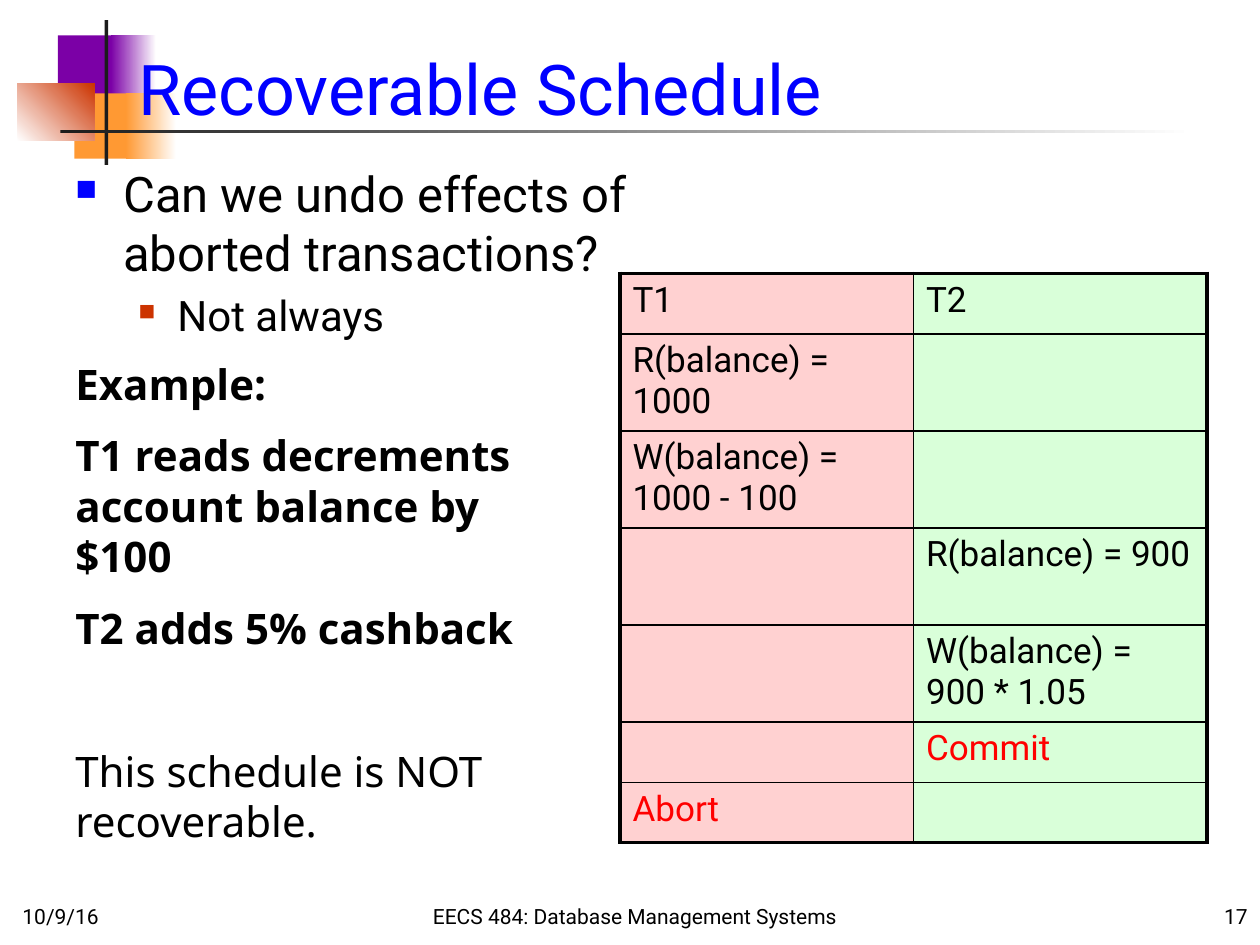
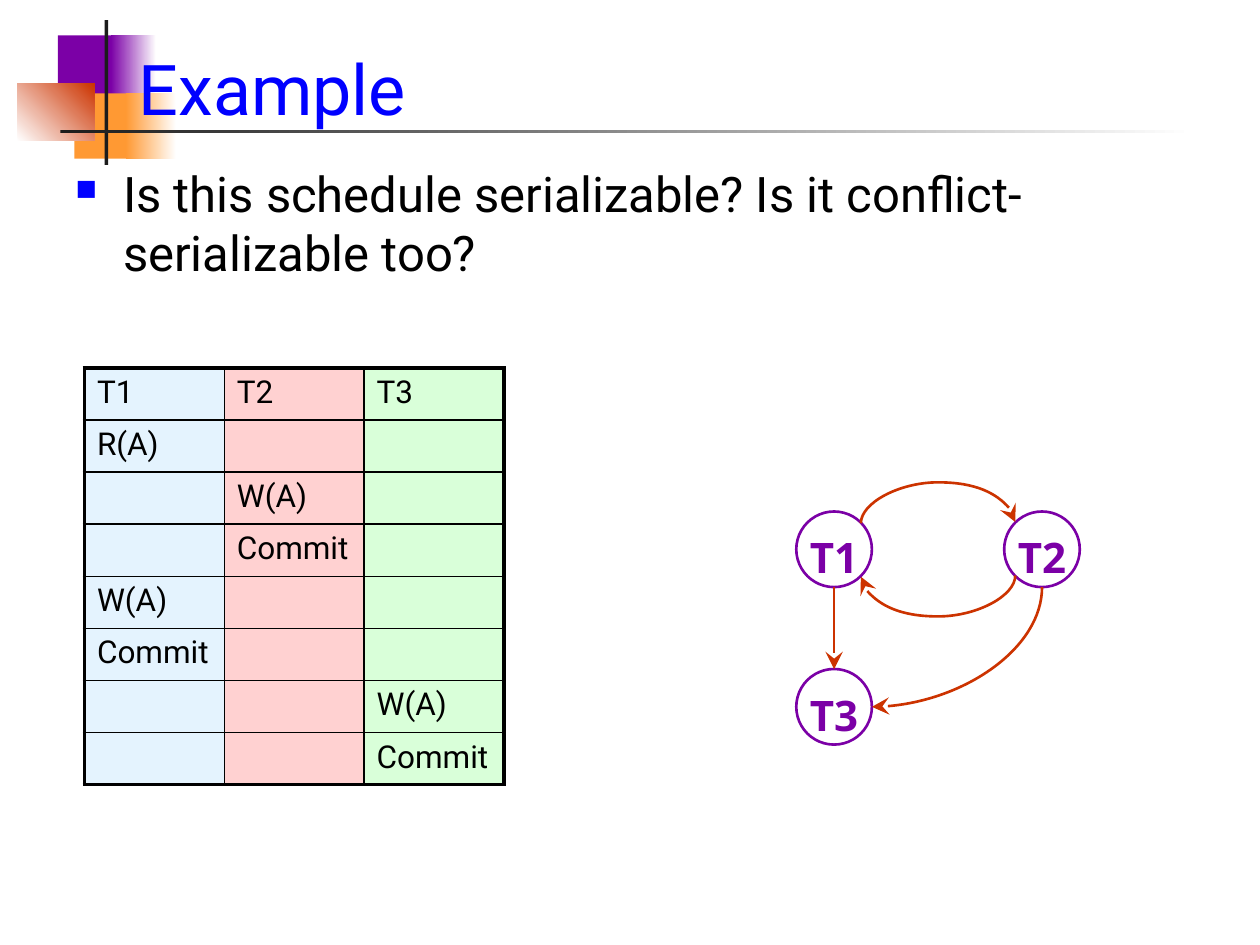
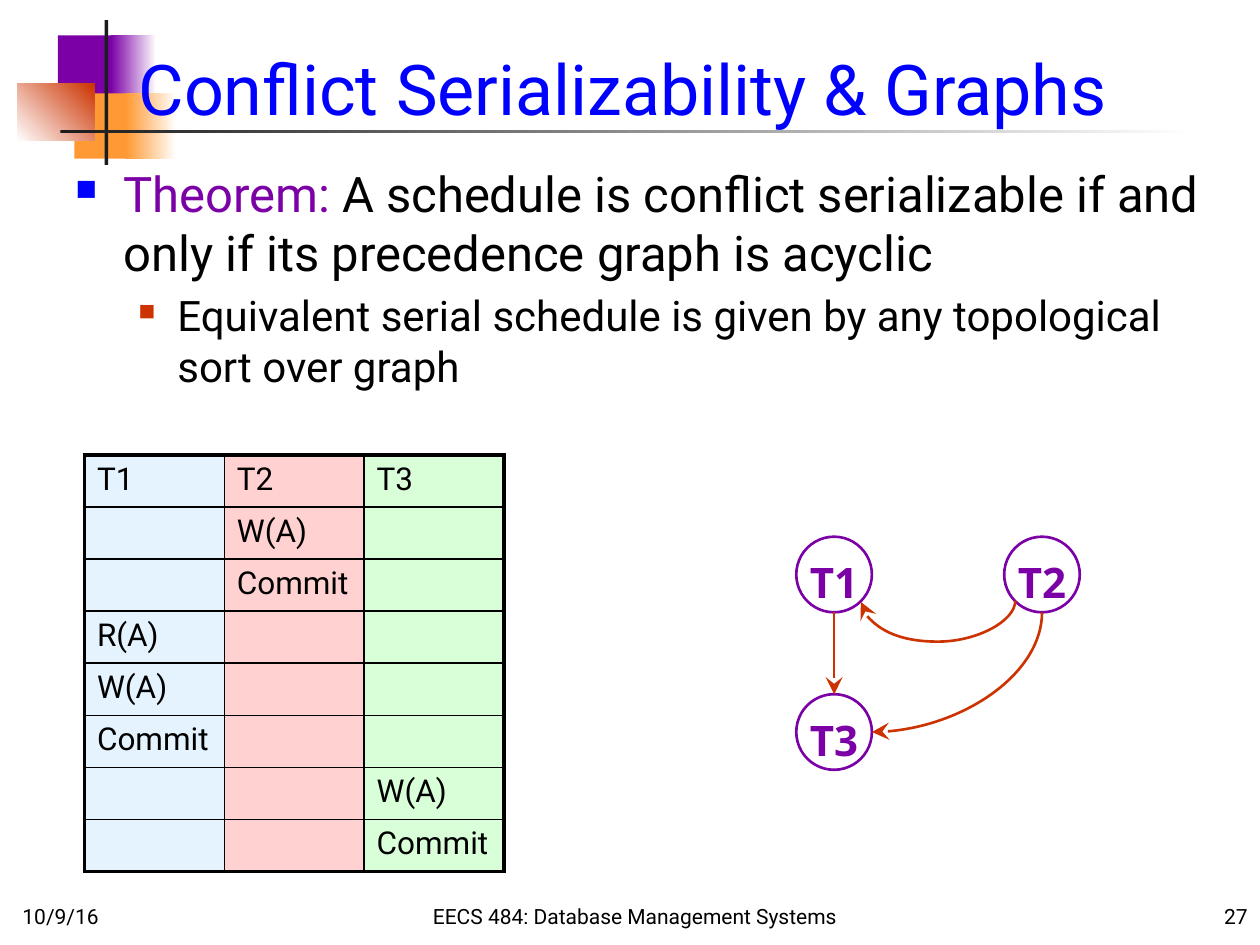
import math

from lxml import etree
from pptx import Presentation
from pptx import util as u
from pptx.dml.color import RGBColor
from pptx.enum import shapes, text
from pptx.oxml.ns import qn

BLACK = RGBColor(0, 0, 0)
WHITE = RGBColor(0xFF, 0xFF, 0xFF)
BLUE = RGBColor(0, 0, 0xFF)
RED = RGBColor(0xFF, 0, 0)
PURPLE = RGBColor(0x7B, 0, 0xA6)
ORANGE = RGBColor(0xFF, 0x99, 0x33)
RUST = RGBColor(0xCC, 0x33, 0)
CHARCOAL = RGBColor(0x1C, 0x1C, 0x1C)
PALE_BLUE = RGBColor(0xE4, 0xF3, 0xFE)
PALE_RED = RGBColor(0xFF, 0xD1, 0xD1)
PALE_GREEN = RGBColor(0xD9, 0xFF, 0xD9)

SANS, NOTO = "Roboto", "Noto Sans"
LEFT, CENTER, RIGHT = (text.PP_ALIGN.LEFT, text.PP_ALIGN.CENTER, text.PP_ALIGN.RIGHT)
TOP, MIDDLE, BOTTOM = (text.MSO_ANCHOR.TOP, text.MSO_ANCHOR.MIDDLE, text.MSO_ANCHOR.BOTTOM)

# Box, start colour, end colour (None for a plain fill), angle.
DECORATION = [
    ((0.46, 0.28, 0.48, 0.52), PURPLE, None, 0),
    ((0.88, 0.28, 0.36, 0.52), PURPLE, WHITE, 0),
    ((0.59, 0.74, 0.46, 0.52), ORANGE, None, 0),
    ((1, 0.74, 0.4, 0.52), ORANGE, WHITE, 0),
    ((0.14, 0.66, 0.61, 0.46), WHITE, RUST, 45),
    ((0.83, 0.16, 0.03, 1.15), CHARCOAL, None, 0),
    ((0.48, 1.03, 9, 0.03), CHARCOAL, WHITE, 0),
]
# Left margin, hanging indent, bullet colour, bullet size, text size by level.
BULLETS = [(0.38, 0.38, BLUE, 60, 28), (0.81, 0.31, RUST, 55, 24)]


def inches(*values):
    """Turn plain numbers into lengths."""
    return [u.Inches(value) for value in values]


def assign(target, **values):
    """Set several attributes of one object."""
    for name, value in values.items():
        setattr(target, name, value)


def node(parent, tag, **attributes):
    """Append an XML child with the given attributes."""
    child = etree.SubElement(parent, qn(tag))
    for name, value in attributes.items():
        child.set(name, str(value))
    return child


def write(para, words, size, color=BLACK, font=SANS, bold=False):
    """Add one formatted span to a paragraph."""
    span = para.add_run()
    span.text = words
    assign(span.font, name=font, size=u.Pt(size), bold=bold)
    span.font.color.rgb = color


def add_frame(page, box, anchor=TOP):
    """Add a wrapping text box and return its text frame."""
    frame = page.shapes.add_textbox(*inches(*box)).text_frame
    assign(frame, word_wrap=True, vertical_anchor=anchor)
    return frame


def next_para(frame, index):
    """Return the first paragraph, or a new one after it."""
    return frame.add_paragraph() if index else frame.paragraphs[0]


def decorate(page, layout):
    """Draw the colour blocks and rules, and move them to the layout."""
    for index, (box, start, end, angle) in enumerate(DECORATION):
        block = page.shapes.add_shape(shapes.MSO_SHAPE.RECTANGLE, *inches(*box))
        block.shadow.inherit = False
        block.line.fill.background()
        if end is None:
            block.fill.solid()
            block.fill.fore_color.rgb = start
        else:
            block.fill.gradient()
            block.fill.gradient_angle = angle
            for stop, color, place in zip(block.fill.gradient_stops, (start, end), (0, 1)):
                stop.color.rgb = color
                stop.position = place
        layout.shapes._spTree.insert(2 + index, block._element)


def add_page(deck, layout, heading, number=None):
    """Add a slide with its title and, if numbered, its footer."""
    page = deck.slides.add_slide(layout)
    title = page.shapes.title
    left, top, width, height = inches(1, -0.17, 8.83, 1.25)
    assign(title, left=left, top=top, width=width, height=height)
    assign(title.text_frame, vertical_anchor=BOTTOM, word_wrap=True,
           auto_size=text.MSO_AUTO_SIZE.NONE)
    para = title.text_frame.paragraphs[0]
    para.alignment = LEFT
    write(para, heading, 40, BLUE)
    if number:
        footers = [(0.08, 2.08, LEFT, "10/9/16"),
                   (2.33, 5.42, CENTER, "EECS 484: Database Management Systems"),
                   (7.92, 2.08, RIGHT, number)]
        for left, width, alignment, words in footers:
            para = add_frame(page, (left, 6.92, width, 0.5), BOTTOM).paragraphs[0]
            para.alignment = alignment
            write(para, words, 12)
    return page


def add_bullets(page, box, items):
    """Write bulleted items, each a level and its coloured spans."""
    frame = add_frame(page, box)
    for index, (level, spans) in enumerate(items):
        margin, hang, color, percent, size = BULLETS[level]
        para = next_para(frame, index)
        assign(para, level=level, space_before=u.Pt(size * 0.2))
        props = para._p.get_or_add_pPr()
        props.set("marL", str(u.Inches(margin)))
        props.set("indent", str(-u.Inches(hang)))
        node(node(props, "a:buClr"), "a:srgbClr", val=color)
        node(props, "a:buSzPct", val=percent * 1000)
        node(props, "a:buChar", char="■")
        for words, ink in spans:
            write(para, words, size, ink)


def add_story(page, box):
    """Write the worked example beside the schedule."""
    lines = [("Example:", True, 12),
             ("T1 reads decrements account balance by $100", True, 12),
             ("T2 adds 5% cashback", True, 12),
             ("This schedule is NOT recoverable.", False, 53)]
    frame = add_frame(page, box, MIDDLE)
    for index, (words, bold, gap) in enumerate(lines):
        para = next_para(frame, index)
        para.space_before = u.Pt(gap)
        write(para, words, 24, font=NOTO, bold=bold)


def set_borders(cell, widths):
    """Draw the four black borders of a cell, given left, right, top, bottom."""
    props = cell._tc.get_or_add_tcPr()
    for index, (side, width) in enumerate(zip("LRTB", widths)):
        line = node(props, "a:ln" + side, w=u.Pt(width))
        node(node(line, "a:solidFill"), "a:srgbClr", val=BLACK)
        props.insert(index, line)


def add_schedule(page, place, column_width, heights, fills, steps, size, inks=None):
    """Draw a schedule: a header row, then one (column, action) step a row."""
    count = len(fills)
    rows = len(steps) + 1
    table = page.shapes.add_table(
        rows, count, *inches(*place, column_width * count, sum(heights))).table
    assign(table, first_row=False, horz_banding=False)
    for column in table.columns:
        column.width = u.Inches(column_width)
    for r, height in enumerate(heights):
        table.rows[r].height = u.Inches(height)
        for c, fill in enumerate(fills):
            cell = table.cell(r, c)
            cell.fill.solid()
            cell.fill.fore_color.rgb = fill
            edges = (c == 0, c == count - 1, r == 0, r == rows - 1)
            set_borders(cell, [2.25 if edge else 1 for edge in edges])
            para = cell.text_frame.paragraphs[0]
            words = f"T{c + 1}" if r == 0 else ""
            if r and steps[r - 1][0] == c:
                words = steps[r - 1][1]
            if words:
                para.space_before = u.Pt(size * 0.2)
                write(para, words, size, (inks or {}).get(words, BLACK))
            else:
                para.font.size = u.Pt(size)


def add_transaction(page, left, top, name):
    """Draw one round node of a precedence graph."""
    circle = page.shapes.add_shape(shapes.MSO_SHAPE.OVAL, *inches(left, top, 0.6, 0.6))
    circle.shadow.inherit = False
    circle.fill.background()
    circle.line.color.rgb = PURPLE
    circle.line.width = u.Pt(1.5)
    frame = circle.text_frame
    assign(frame, margin_left=0, margin_right=0, margin_top=0, margin_bottom=0,
           word_wrap=False, vertical_anchor=MIDDLE)
    para = frame.paragraphs[0]
    assign(para, alignment=CENTER, line_spacing=1.3)
    write(para, name, 24, PURPLE, NOTO, True)
    return circle


def site(circle, index):
    """Give the point of a connection site, counted anticlockwise from the top."""
    angle = math.radians(45 * index)
    radius = circle.width / 2
    return (circle.left + radius * (1 - math.sin(angle)),
            circle.top + radius * (1 - math.cos(angle)))


def add_arrow(page, start, end, turn, bulge=None, preset="curvedConnector3"):
    """Join two (circle, site) ends by a curve that leaves down (90) or up (270)."""
    (x1, y1), (x2, y2) = site(*start), site(*end)
    sign = 1 if turn == 90 else -1
    along = max(int(sign * (y2 - y1)), u.Inches(0.01))
    across = int(sign * (x1 - x2))
    arrow = page.shapes.add_connector(shapes.MSO_CONNECTOR.CURVE, 0, 0, 0, 0)
    assign(arrow, left=int((x1 + x2 - along) / 2), top=int((y1 + y2 - across) / 2),
           width=along, height=across)
    arrow.line.color.rgb = RUST
    arrow.line.width = u.Pt(1.5)
    props = arrow._element.spPr
    props.find(qn("a:xfrm")).set("rot", str(turn * 60000))
    shape = props.find(qn("a:prstGeom"))
    shape.set("prst", preset)
    if bulge:
        share = round(u.Inches(bulge) / along * 100000)
        node(shape.find(qn("a:avLst")), "a:gd", name="adj1", fmla=f"val {share}")
    node(props.find(qn("a:ln")), "a:tailEnd", type="stealth", w="lg", len="lg")
    node(props, "a:effectLst")
    links = arrow._element.find(".//" + qn("p:cNvCxnSpPr"))
    for tag, (circle, index) in (("a:stCxn", start), ("a:endCxn", end)):
        node(links, tag, id=circle.shape_id, idx=index)


def add_graph(page, left, top, cyclic):
    """Draw the precedence graph, with the edge T1 to T2 if it is cyclic."""
    first = add_transaction(page, left, top, "T1")
    second = add_transaction(page, left + 1.65, top, "T2")
    third = add_transaction(page, left, top + 1.25, "T3")
    if cyclic:
        add_arrow(page, (first, 7), (second, 1), 270, 0.33)
    add_arrow(page, (second, 3), (first, 5), 90, 0.33)
    add_arrow(page, (second, 4), (third, 6), 90, preset="curvedConnector2")
    add_arrow(page, (first, 4), (third, 0), 90)


def add_three_way(page, top, steps):
    """Draw a schedule of three transactions."""
    add_schedule(page, (0.67, top), 1.11, [3.31 / 8] * 8,
                 (PALE_BLUE, PALE_RED, PALE_GREEN), steps, 18)


def main():
    """Build the deck."""
    deck = Presentation()
    deck.slide_width, deck.slide_height = inches(10, 7.5)
    layout = deck.slide_layouts[5]

    page = add_page(deck, layout, "Recoverable Schedule", "17")
    decorate(page, layout)
    add_bullets(page, (0.5, 1.25, 4.75, 5.08), [
        (0, [("Can we undo effects of aborted transactions?", BLACK)]),
        (1, [("Not always", BLACK)])])
    steps = [(0, "R(balance) = 1000"), (0, "W(balance) = 1000 - 100"),
             (1, "R(balance) = 900"), (1, "W(balance) = 900 * 1.05"),
             (1, "Commit"), (0, "Abort")]
    add_schedule(page, (4.92, 2.17), 2.33, [0.48] + [0.77] * 4 + [0.48] * 2,
                 (PALE_RED, PALE_GREEN), steps, 20, {"Commit": RED, "Abort": RED})
    add_story(page, (0.5, 2.71, 4.08, 4.14))

    read, late_write = [(0, "R(A)")], [(0, "W(A)"), (0, "Commit")]
    second, third = ([(c, "W(A)"), (c, "Commit")] for c in (1, 2))

    page = add_page(deck, layout, "Example")
    add_three_way(page, 2.92, read + second + late_write + third)
    add_bullets(page, (0.5, 1.25, 9.17, 5.08), [
        (0, [("Is this schedule serializable? Is it conflict-serializable too?", BLACK)])])
    add_graph(page, 6.32, 4.06, True)

    page = add_page(deck, layout, "Conflict Serializability & Graphs", "27")
    add_bullets(page, (0.5, 1.25, 9.17, 2.33), [
        (0, [("Theorem:", PURPLE),
             (" A schedule is conflict serializable if and only if its precedence "
              "graph is acyclic", BLACK)]),
        (1, [("Equivalent serial schedule is given by any topological sort over graph",
              BLACK)])])
    add_three_way(page, 3.61, second + read + late_write + third)
    add_graph(page, 6.32, 4.26, False)

    deck.save("out.pptx")


main()
